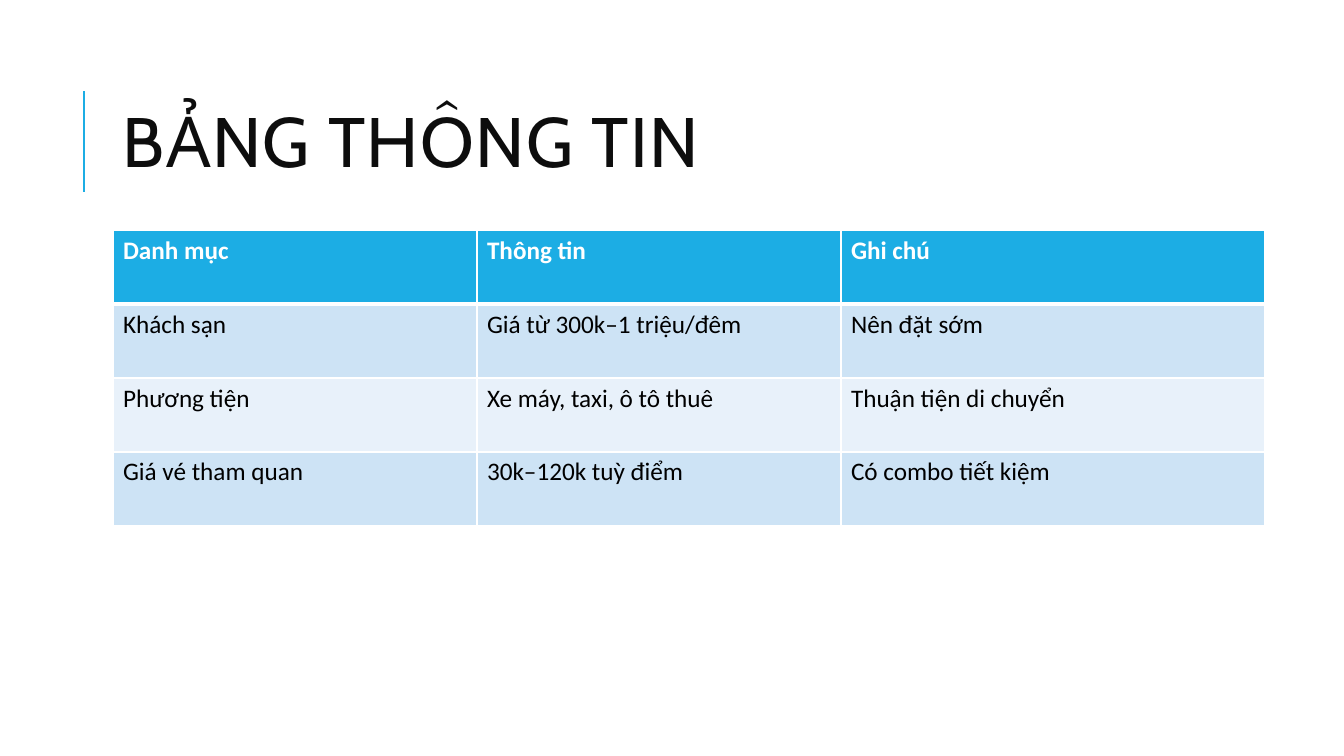
import pptx
import pptx.dml.color
import pptx.enum.shapes
import pptx.enum.text
import pptx.oxml
import pptx.oxml.ns
import pptx.util

EMU_PER_PX = 914400 / 100.8
ACCENT, WHITE, BLACK, INK = "1CADE4", "FFFFFF", "000000", "0D0D0D"
BANDS = ["CDE3F5", "E8F1FA"]
DRAWING_NS = pptx.oxml.ns.nsdecls("a")


def px(length):
    return pptx.util.Emu(round(length * EMU_PER_PX))


def write(frame, text, font="Calibri", size=18, color=BLACK, bold=False,
          line_spacing=1.0, tracking=0):
    paragraph = frame.paragraphs[0]
    paragraph.line_spacing = line_spacing
    run = paragraph.add_run()
    run.text = text
    run.font.name = font
    run.font.size = pptx.util.Pt(size)
    run.font.bold = bold
    run.font.color.rgb = pptx.dml.color.RGBColor.from_string(color)
    if tracking:
        run.font._element.set("spc", str(tracking * 100))


deck = pptx.Presentation()
deck.slide_width, deck.slide_height = px(1344), px(756)
slide = deck.slides.add_slide(deck.slide_layouts[6])

# Accent line beside the title
accent = slide.shapes.add_connector(
    pptx.enum.shapes.MSO_CONNECTOR.STRAIGHT, px(84), px(192), px(84), px(91))
accent.line.color.rgb = pptx.dml.color.RGBColor.from_string(ACCENT)
accent.line.width = pptx.util.Pt(1.5)
accent._element.spPr.append(pptx.oxml.parse_xml(f"<a:effectLst {DRAWING_NS}/>"))

# Title
title = slide.shapes.add_textbox(px(113), px(65), px(1072), px(165)).text_frame
title.word_wrap = True
title.vertical_anchor = pptx.enum.text.MSO_ANCHOR.MIDDLE
write(title, "BẢNG THÔNG TIN", font="Cabin", size=50, color=INK,
      line_spacing=0.8, tracking=1)

# Information table
info_rows = [
    ["Danh mục", "Thông tin", "Ghi chú"],
    ["Khách sạn", "Giá từ 300k–1 triệu/đêm", "Nên đặt sớm"],
    ["Phương tiện", "Xe máy, taxi, ô tô thuê", "Thuận tiện di chuyển"],
    ["Giá vé tham quan", "30k–120k tuỳ điểm", "Có combo tiết kiệm"],
]
column_widths = [364, 364, 424]
row_height = 74
info = slide.shapes.add_table(
    len(info_rows), len(column_widths), px(113), px(230),
    px(sum(column_widths)), px(row_height * len(info_rows))).table
for column, width in zip(info.columns, column_widths):
    column.width = px(width)

for r, entries in enumerate(info_rows):
    info.rows[r].height = px(row_height)
    header = r == 0
    for c, entry in enumerate(entries):
        cell = info.cell(r, c)
        write(cell.text_frame, entry, color=WHITE if header else BLACK, bold=header)

        # White borders, thicker between header and body
        for side in ["L", "R", "T", "B"]:
            thick = (r, side) in [(0, "B"), (1, "T")]
            cell._tc.get_or_add_tcPr().append(pptx.oxml.parse_xml(
                f'<a:ln{side} {DRAWING_NS} '
                f'w="{pptx.util.Pt(3 if thick else 1)}"><a:solidFill>'
                f'<a:srgbClr val="{WHITE}"/></a:solidFill></a:ln{side}>'))
        cell.fill.solid()
        cell.fill.fore_color.rgb = pptx.dml.color.RGBColor.from_string(
            ACCENT if header else BANDS[(r - 1) % 2])

deck.save("out.pptx")
